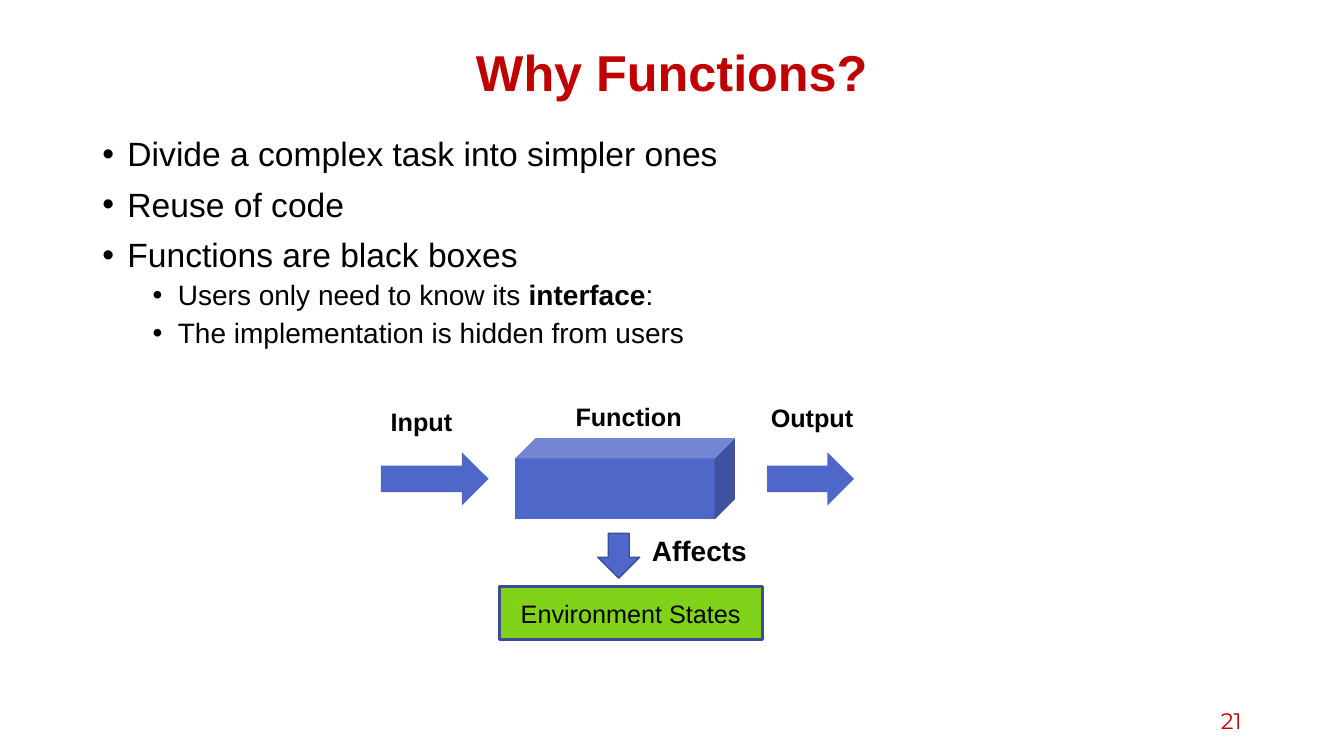
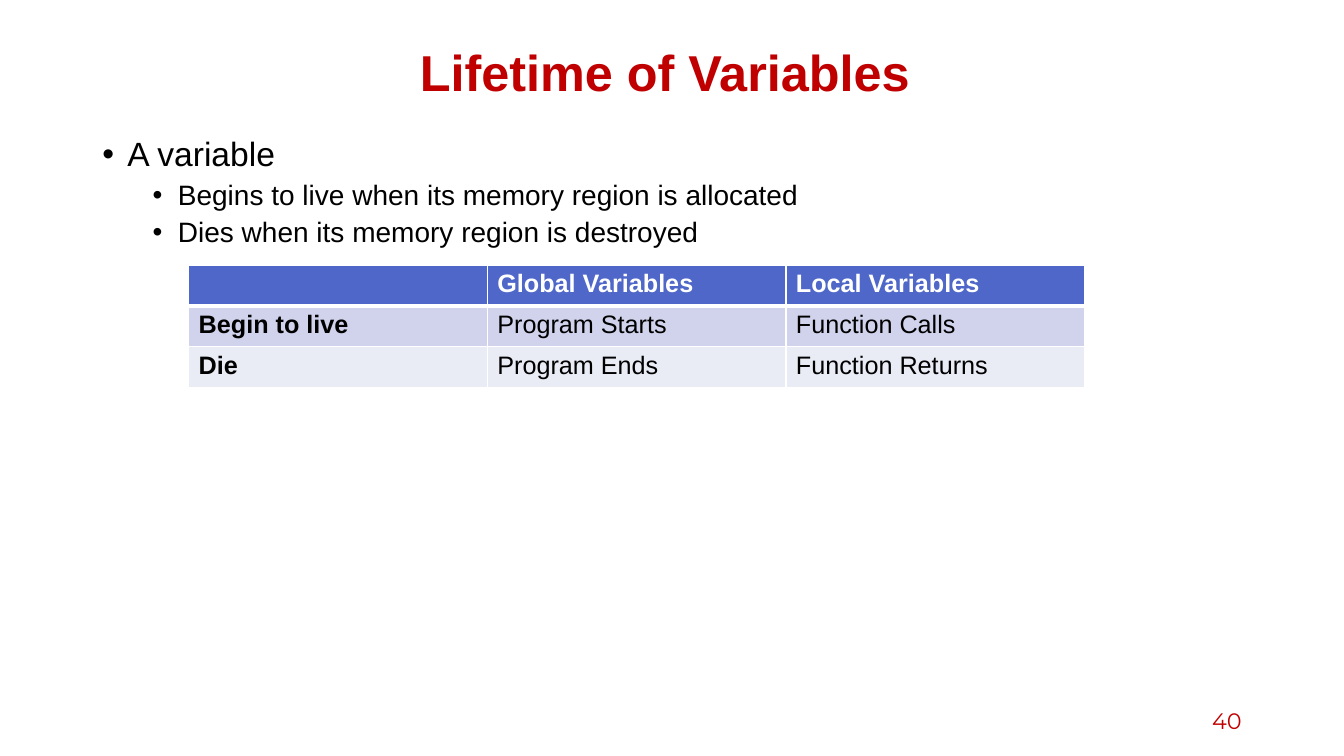
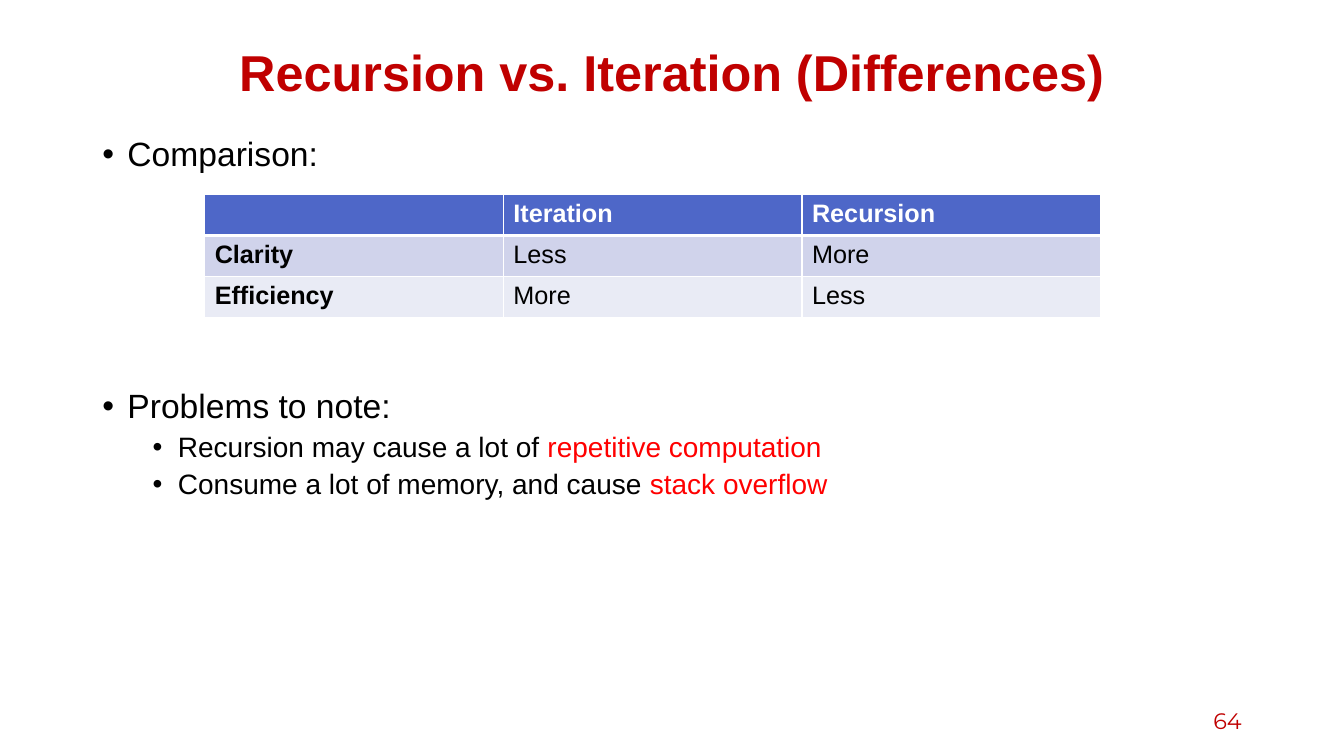
from lxml import etree
from pptx import Presentation
from pptx import util as u
from pptx.dml.color import RGBColor
from pptx.enum import shapes, text
from pptx.oxml import ns

COLOURS = {
    "title": "C00000", "text": "000000", "alert": "FF0000", "white": "FFFFFF",
    "accent": "4E67C8", "outline": "3A4C94", "states": "81D31A",
    "odd_row": "D0D3EB", "even_row": "E9EBF5",
}
FORMATS = {
    "title": {"name": "Arial", "size": 36, "bold": True, "color": "title"},
    "number": {"name": "Montserrat", "size": 16, "color": "title"},
    "point": {"name": "Arial", "size": 24, "color": "text"},
    "subpoint": {"name": "Arial", "size": 20, "color": "text"},
    "label": {"name": "Arial", "size": 18, "bold": True, "color": "text"},
    "plain": {"name": "Arial", "size": 18, "bold": False, "color": "text"},
    "header": {"name": "Arial", "size": 18, "bold": True, "color": "white"},
}
# Left indent and space before of each bullet level
LEVELS = {"point": (18, 10), "subpoint": (54, 5)}
BODY_BOX = (66, 95, 828, 397)
ALIGN = text.PP_ALIGN
PRESET = shapes.MSO_SHAPE


def colour(key):
    return RGBColor.from_string(COLOURS[key])


def write(para, content, kind):
    """Add runs; content is a string or a list of (string, format overrides)."""
    spans = [(content, {})] if isinstance(content, str) else content
    for words, overrides in spans:
        span = para.add_run()
        span.text = words
        for key, value in {**FORMATS[kind], **overrides}.items():
            if key == "color":
                span.font.color.rgb = colour(value)
            else:
                setattr(span.font, key, u.Pt(value) if key == "size" else value)


def add_box(page, box):
    frame = page.shapes.add_textbox(*map(u.Pt, box)).text_frame
    frame.word_wrap = True
    return frame


def add_line(page, box, content, kind, align=ALIGN.LEFT, anchor=text.MSO_ANCHOR.TOP):
    frame = add_box(page, box)
    frame.vertical_anchor = anchor
    para = frame.paragraphs[0]
    para.alignment = align
    write(para, content, kind)
    return para


def add_page(deck, title, number):
    page = deck.slides.add_slide(deck.slide_layouts[6])
    middle = text.MSO_ANCHOR.MIDDLE
    heading = add_line(page, (66, 29, 828, 50), title, "title", ALIGN.CENTER, middle)
    heading.line_spacing = 0.9
    add_line(page, (678, 500, 216, 29), str(number), "number", ALIGN.RIGHT, middle)
    return page


def add_bullets(page, box, items):
    """Write (level, content) items as a bulleted list."""
    frame = add_box(page, box)
    for index, (level, content) in enumerate(items):
        para = frame.add_paragraph() if index else frame.paragraphs[0]
        indent, gap = LEVELS[level]
        props = para._p.get_or_add_pPr()
        props.set("marL", str(u.Pt(indent)))
        props.set("indent", str(-u.Pt(18)))
        etree.SubElement(props, ns.qn("a:buFont")).set("typeface", "Arial")
        etree.SubElement(props, ns.qn("a:buChar")).set("char", "•")
        para.line_spacing = 0.9
        if index:
            para.space_before = u.Pt(gap)
        write(para, content, level)


def add_preset(page, preset, box, fill="accent", line_width=0):
    shape = page.shapes.add_shape(preset, *map(u.Pt, box))
    shape.shadow.inherit = False
    shape.fill.solid()
    shape.fill.fore_color.rgb = colour(fill)
    if line_width:
        shape.line.color.rgb = colour("outline")
        shape.line.width = u.Pt(line_width)
    else:
        shape.line.fill.background()
    return shape


def add_black_box(page, left, top):
    """Draw a function with its input, output and effect on the environment."""
    def place(x, y, width, height):
        return left + x, top + y, width, height

    add_preset(page, PRESET.CUBE, place(96, 30, 157, 58))
    add_preset(page, PRESET.RIGHT_ARROW, place(0, 40, 77, 38))
    add_preset(page, PRESET.RIGHT_ARROW, place(276, 40, 62, 38))
    add_preset(page, PRESET.DOWN_ARROW, place(155, 98, 30, 32), line_width=1)
    add_line(page, place(0, 3.5, 88, 29), "Input", "label")
    add_line(page, place(271.5, 0.5, 88, 29), "Output", "label")
    add_line(page, place(132, 0, 106, 29), "Function", "label")
    add_line(page, place(186.5, 94.5, 140, 32), [("Affects", {"size": 20})], "label")
    states = add_preset(page, PRESET.RECTANGLE, place(84.5, 136, 188, 38), "states", 2.25)
    states.text_frame.vertical_anchor = text.MSO_ANCHOR.MIDDLE
    para = states.text_frame.paragraphs[0]
    para.alignment = ALIGN.CENTER
    write(para, "Environment States", "plain")


def add_borders(cell, widths):
    """Draw white borders; widths maps a side letter to points."""
    props = cell._tc.get_or_add_tcPr()
    for side, width in widths.items():
        line = etree.SubElement(props, ns.qn(f"a:ln{side}"), w=str(u.Pt(width)))
        fill = etree.SubElement(line, ns.qn("a:solidFill"))
        etree.SubElement(fill, ns.qn("a:srgbClr"), val=COLOURS["white"])


def add_comparison(page, left, top, rows):
    width, row_height = 640, 29.25
    frame = page.shapes.add_table(len(rows), len(rows[0]), u.Pt(left), u.Pt(top),
                                  u.Pt(width), u.Pt(row_height * len(rows)))
    for r, row in enumerate(rows):
        fill = "accent" if r == 0 else "odd_row" if r % 2 else "even_row"
        for c, content in enumerate(row):
            cell = frame.table.cell(r, c)
            add_borders(cell, {"L": 1, "R": 1, "T": 3 if r == 1 else 1,
                               "B": 3 if r == 0 else 1})
            cell.fill.solid()
            cell.fill.fore_color.rgb = colour(fill)
            if content:
                kind = "header" if r == 0 else "plain" if c else "label"
                write(cell.text_frame.paragraphs[0], content, kind)


def build_why_functions(deck):
    page = add_page(deck, "Why Functions?", 21)
    add_bullets(page, BODY_BOX, [
        ("point", "Divide a complex task into simpler ones"),
        ("point", "Reuse of code"),
        ("point", "Functions are black boxes"),
        ("subpoint", [("Users only need to know its ", {}),
                      ("interface", {"bold": True}), (":", {})]),
        ("subpoint", "The implementation is hidden from users"),
    ])
    add_black_box(page, 272, 283)


def build_lifetime(deck):
    page = add_page(deck, "Lifetime of Variables ", 40)
    add_bullets(page, BODY_BOX, [
        ("point", "A variable"),
        ("subpoint", "Begins to live when its memory region is allocated"),
        ("subpoint", "Dies when its memory region is destroyed"),
    ])
    add_comparison(page, 134.75, 189.25, [
        ("", "Global Variables", "Local Variables"),
        ("Begin to live", "Program Starts", "Function Calls"),
        ("Die", "Program Ends", "Function Returns"),
    ])


def build_recursion(deck):
    page = add_page(deck, "Recursion vs. Iteration (Differences)", 64)
    left, top, width, height = BODY_BOX
    offset = 180
    add_bullets(page, (left, top, width, offset), [("point", "Comparison:")])
    alert = {"color": "alert"}
    add_bullets(page, (left, top + offset, width, height - offset), [
        ("point", "Problems to note:"),
        ("subpoint", [("Recursion may cause a lot of ", {}),
                      ("repetitive computation", alert)]),
        ("subpoint", [("Consume a lot of memory, and cause ", {}),
                      ("stack overflow", alert)]),
    ])
    add_comparison(page, 146.25, 139, [
        ("", "Iteration", "Recursion"),
        ("Clarity", "Less", "More"),
        ("Efficiency", "More", "Less"),
    ])


def main():
    deck = Presentation()
    deck.slide_width, deck.slide_height = u.Pt(960), u.Pt(540)
    for build in (build_why_functions, build_lifetime, build_recursion):
        build(deck)
    deck.save("out.pptx")


if __name__ == "__main__":
    main()
